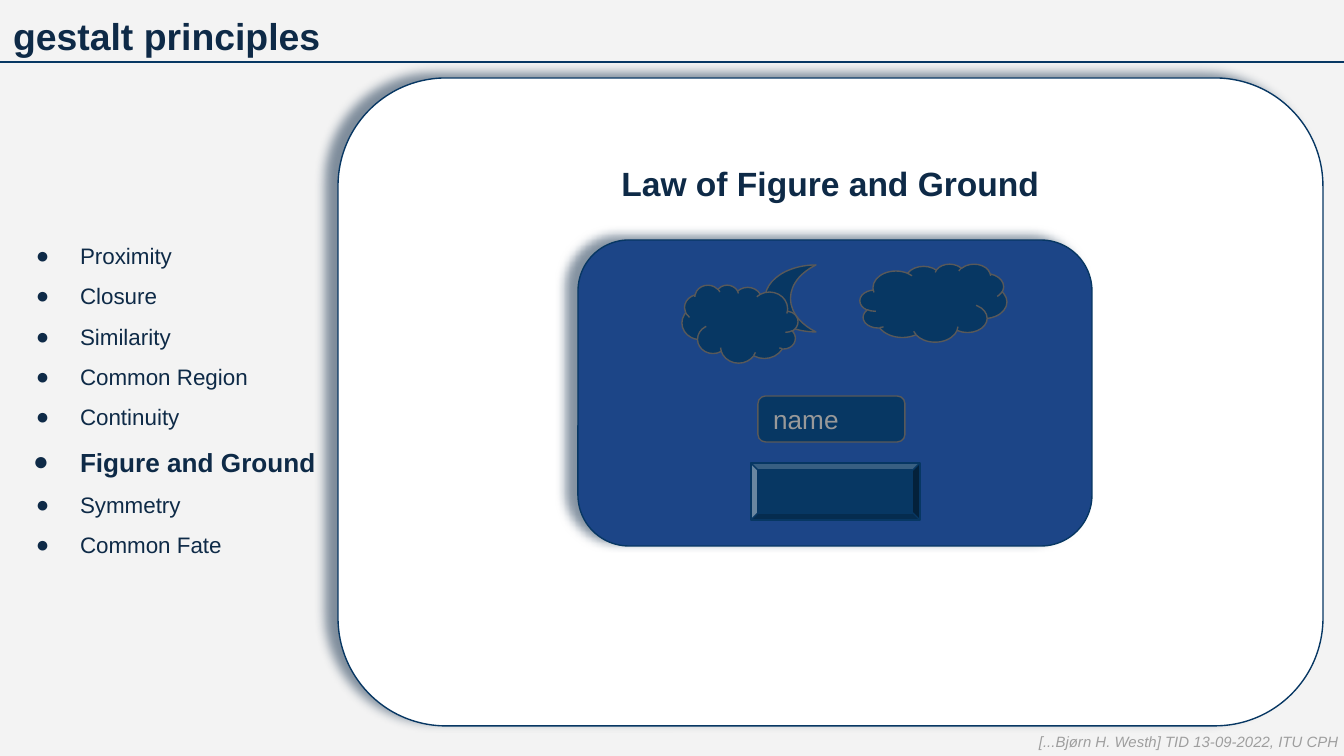
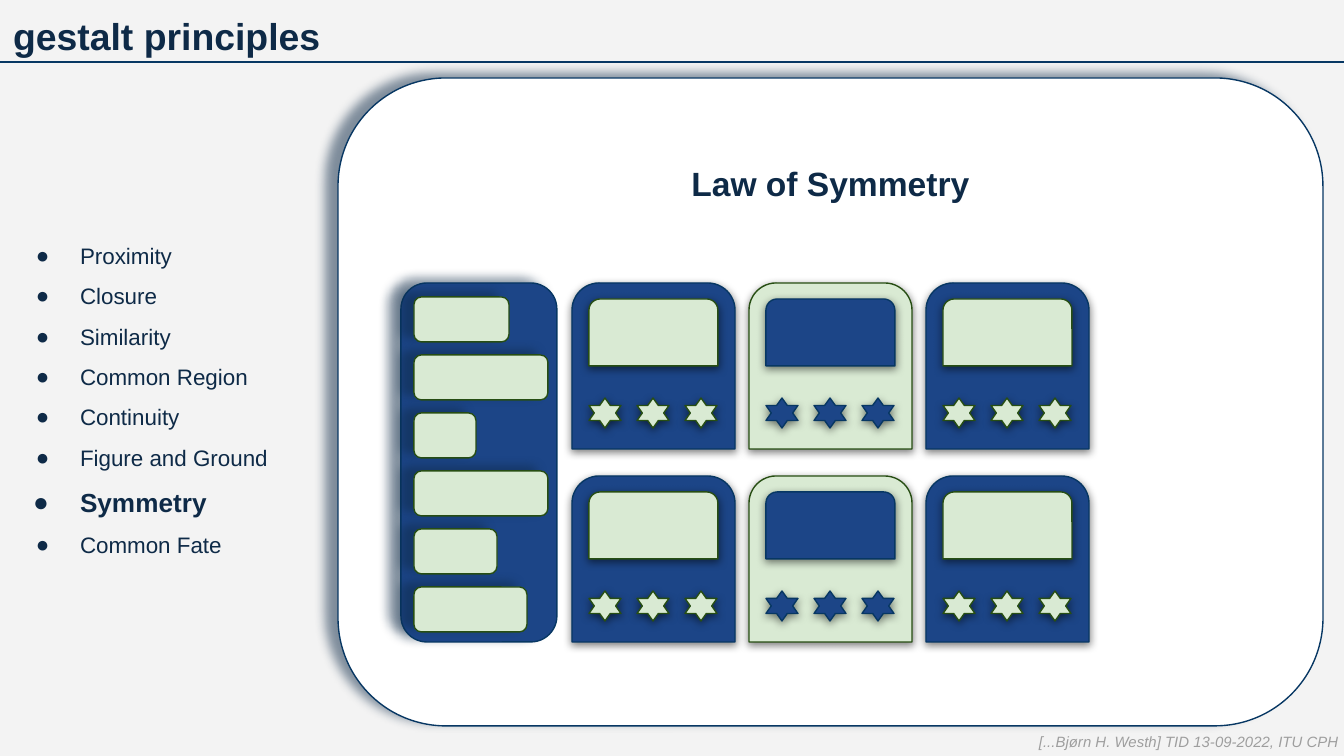
from lxml import etree
from pptx import Presentation
from pptx.dml.color import RGBColor
from pptx.enum.shapes import MSO_CONNECTOR, MSO_SHAPE
from pptx.enum.text import MSO_ANCHOR, MSO_AUTO_SIZE, PP_ALIGN
from pptx.oxml.ns import qn
from pptx.util import Emu, Pt

ROUNDED, TILE, STAR = MSO_SHAPE.ROUNDED_RECTANGLE, MSO_SHAPE.ROUND_2_SAME_RECTANGLE, MSO_SHAPE.STAR_6_POINT
CLOUD, MOON, BEVEL = MSO_SHAPE.CLOUD, MSO_SHAPE.MOON, MSO_SHAPE.BEVEL
STRAIGHT = MSO_CONNECTOR.STRAIGHT
TOP, MIDDLE = MSO_ANCHOR.TOP, MSO_ANCHOR.MIDDLE
LEFT, CENTER = PP_ALIGN.LEFT, PP_ALIGN.CENTER
NO_AUTOFIT = MSO_AUTO_SIZE.NONE

EMU_PER_PX = 914400 / 134.4
SLIDE_WIDTH, SLIDE_HEIGHT = 1344, 756
INSET = 13
FONT = "Arial"
TITLE_LAYOUT = 1

# Colours
PAPER, WHITE, INK = "F3F3F3", "FFFFFF", "0E2A47"
NAVY, BLUE, GREY = "073763", "1C4587", "595959"
MINT, FOREST = "D9EAD3", "274E13"
HINT, FOOTER_GREY = "999999", "9E9E9E"
BLUE_STYLE, MINT_STYLE = (BLUE, NAVY), (MINT, FOREST)

# Shadows: colour, opacity in percent, blur and distance in points, angle
WIDE_SHADOW = (INK, 51, 5.6, 6.8, 199)
SOFT_SHADOW = ("000000", 50, 4.5, 1.5, 90)

# Boxes: left, top, width, height
TITLE_BOX = (0, 0, SLIDE_WIDTH, 67)
LIST_BOX = (0, 67, 339, 653)
PANEL_BOX = (338, 78, 985, 648)
FOOTER_BOX = (1026, 720, 318, 46)
RULE_TOP = 62

PRINCIPLES = ["Proximity", "Closure", "Similarity", "Common Region",
              "Continuity", "Figure and Ground", "Symmetry", "Common Fate"]
FOOTER_TEXT = "[...Bjørn H. Westh] TID 13-09-2022, ITU CPH"


def px(length):
    return Emu(round(length * EMU_PER_PX))


def rgb(color):
    return RGBColor.from_string(color)


def set_attributes(target, values):
    for name, value in values.items():
        setattr(target, name, value)


def place(shape, box):
    names = ("left", "top", "width", "height")
    set_attributes(shape, dict(zip(names, map(px, box))))


def inside(box, left, top, width, height):
    return box[0] + left, box[1] + top, width, height


def set_frame(shape, anchor=TOP, right=INSET):
    set_attributes(shape.text_frame, {
        "auto_size": NO_AUTOFIT, "word_wrap": True, "vertical_anchor": anchor,
        "margin_left": px(INSET), "margin_top": px(INSET),
        "margin_right": px(right), "margin_bottom": px(INSET)})
    return shape.text_frame


def write(paragraph, text, size, color=INK, bold=False, italic=False,
          align=LEFT, spacing=1.0):
    set_attributes(paragraph, {"alignment": align, "line_spacing": spacing,
                               "space_before": Pt(0), "space_after": Pt(0)})
    run = paragraph.add_run()
    run.text = text
    set_attributes(run.font, {"name": FONT, "size": Pt(size),
                              "bold": bold, "italic": italic})
    run.font.color.rgb = rgb(color)


def add_color(parent, color):
    return etree.SubElement(parent, qn("a:srgbClr"), val=color)


def add_shadow(shape, shadow):
    color, opacity, blur, distance, angle = shadow
    effects = shape.element.spPr.find(qn("a:effectLst"))
    outer = etree.SubElement(
        effects, qn("a:outerShdw"), blurRad=str(Pt(blur)), dist=str(Pt(distance)),
        dir=str(angle * 60000), algn="bl", rotWithShape="0")
    etree.SubElement(add_color(outer, color), qn("a:alpha"), val=str(opacity * 1000))


def draw(shapes, kind, box, style, shadow=None):
    shape = shapes.add_shape(kind, *map(px, box))
    shape.shadow.inherit = False
    shape.fill.solid()
    shape.fill.fore_color.rgb = rgb(style[0])
    shape.line.color.rgb = rgb(style[1])
    shape.line.width = Pt(0.75)
    if shadow:
        add_shadow(shape, shadow)
    return shape


def add_bullet(paragraph, bold):
    properties = paragraph._p.get_or_add_pPr()
    properties.set("marL", str(px(67)))
    properties.set("indent", str(px(-47 if bold else -44)))
    add_color(etree.SubElement(properties, qn("a:buClr")), INK)
    etree.SubElement(properties, qn("a:buFont"), typeface=FONT)
    etree.SubElement(properties, qn("a:buChar"), char="●")


# Title and the rule under it
def add_title(slide, box):
    title = slide.shapes.title
    place(title, box)
    write(set_frame(title).paragraphs[0], "gestalt principles", 20, bold=True)
    rule = slide.shapes.add_connector(
        STRAIGHT, px(box[0]), px(RULE_TOP), px(box[0] + box[2]), px(RULE_TOP))
    rule.line.color.rgb = rgb(NAVY)
    rule.line.width = Pt(0.75)
    etree.SubElement(rule.element.spPr, qn("a:effectLst"))


# List of principles with the current one emphasised
def add_principles(slide, box, current):
    body = slide.placeholders[1]
    place(body, box)
    body.fill.solid()
    body.fill.fore_color.rgb = rgb(PAPER)
    frame = set_frame(body, MIDDLE)
    for index, principle in enumerate(PRINCIPLES):
        paragraph = frame.add_paragraph() if index else frame.paragraphs[0]
        bold = principle == current
        add_bullet(paragraph, bold)
        write(paragraph, principle, 14 if bold else 12, bold=bold, spacing=1.5)


# White panel headed by the law
def add_panel(slide, box, law):
    panel = draw(slide.shapes, ROUNDED, box, (WHITE, NAVY), WIDE_SHADOW)
    write(set_frame(panel).paragraphs[0], law, 18, bold=True, align=CENTER, spacing=2.0)


def add_footer(slide, box):
    footer = slide.shapes.add_textbox(*map(px, box))
    write(set_frame(footer, right=0).paragraphs[0], FOOTER_TEXT, 8, FOOTER_GREY, italic=True)


# Night scene with a form: figures that merge with the ground
def add_night_form(slide, panel):
    card = inside(panel, 240, 162, 514, 306)
    draw(slide.shapes, ROUNDED, card, BLUE_STYLE, WIDE_SHADOW)
    figure = (NAVY, GREY)
    draw(slide.shapes, CLOUD, inside(card, 282, 24, 147, 78), figure)
    draw(slide.shapes, MOON, inside(card, 187, 25, 51, 67), figure)
    near_cloud = draw(slide.shapes, CLOUD, inside(card, 104, 45, 116, 78), figure)
    near_cloud.element.spPr.get_or_add_xfrm().set("flipH", "1")
    draw(slide.shapes, BEVEL, inside(card, 173, 223, 169, 57), (NAVY, NAVY))
    field = draw(slide.shapes, ROUNDED, inside(card, 180, 156, 147, 46), figure)
    write(set_frame(field, MIDDLE).paragraphs[0], "name", 14, HINT)


# Tile with a window and three stars
def add_tile(slide, box, base, accent):
    shapes = slide.shapes.add_group_shape().shapes
    draw(shapes, TILE, box, base, SOFT_SHADOW)
    draw(shapes, TILE, inside(box, 17, 16, 129, 67), accent, SOFT_SHADOW)
    for star in range(3):
        draw(shapes, STAR, inside(box, 17 + 48 * star, 115, 32, 30), accent, SOFT_SHADOW)


# Column of bars of uneven length
def add_bars(slide, box):
    draw(slide.shapes, ROUNDED, box, BLUE_STYLE, WIDE_SHADOW)
    for index, width in enumerate([95, 134, 62, 134, 83, 113]):
        draw(slide.shapes, ROUNDED, inside(box, 13, 14 + 58 * index, width, 45),
             MINT_STYLE, WIDE_SHADOW)


def add_symmetric_grid(slide, panel):
    for row in range(2):
        for column in range(3):
            styles = (MINT_STYLE, BLUE_STYLE) if column == 1 else (BLUE_STYLE, MINT_STYLE)
            box = inside(panel, 234 + 177 * column, 205 + 193 * row, 163, 166)
            add_tile(slide, box, *styles)
    add_bars(slide, inside(panel, 63, 205, 156, 359))


def add_principle_slide(presentation, principle, add_example):
    slide = presentation.slides.add_slide(presentation.slide_layouts[TITLE_LAYOUT])
    add_title(slide, TITLE_BOX)
    add_principles(slide, LIST_BOX, principle)
    add_panel(slide, PANEL_BOX, f"Law of {principle}")
    add_example(slide, PANEL_BOX)
    add_footer(slide, FOOTER_BOX)


def main():
    presentation = Presentation()
    presentation.slide_width = px(SLIDE_WIDTH)
    presentation.slide_height = px(SLIDE_HEIGHT)
    background = presentation.slide_master.background.fill
    background.solid()
    background.fore_color.rgb = rgb(PAPER)
    add_principle_slide(presentation, "Figure and Ground", add_night_form)
    add_principle_slide(presentation, "Symmetry", add_symmetric_grid)
    presentation.save("out.pptx")


if __name__ == "__main__":
    main()
